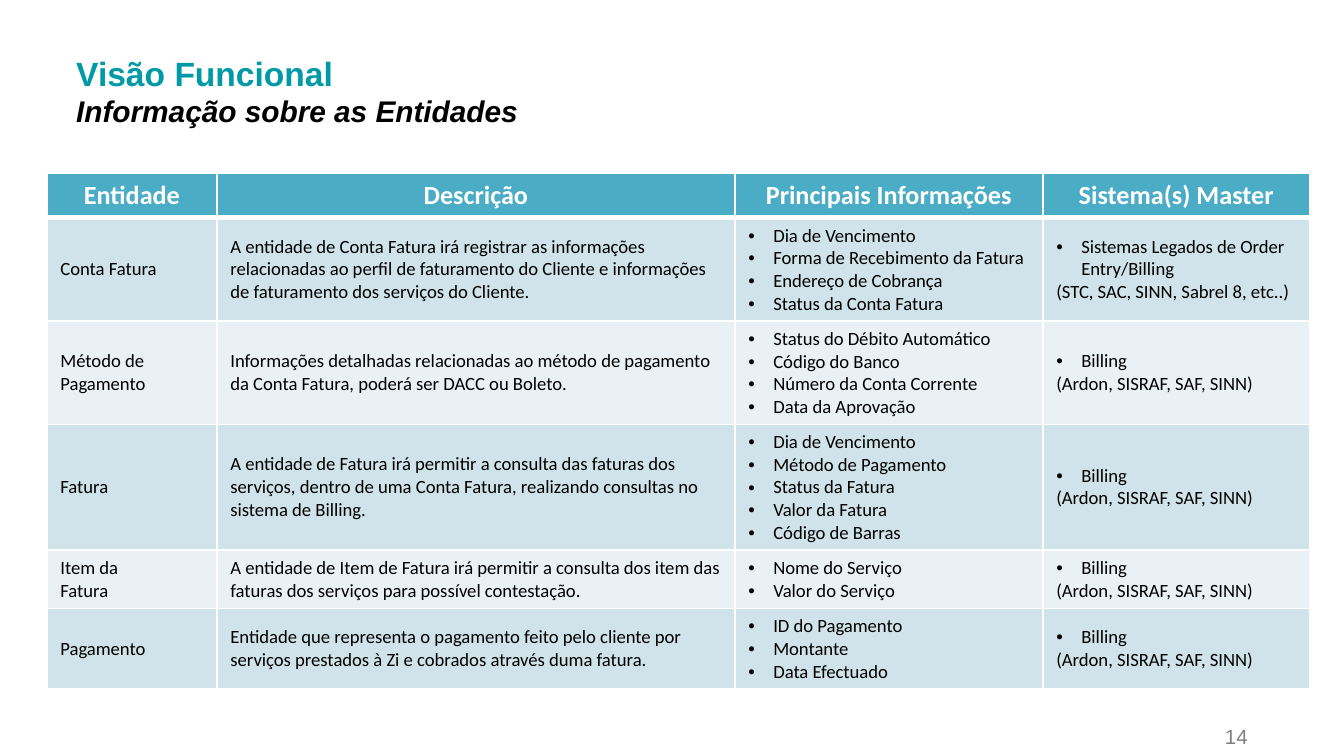
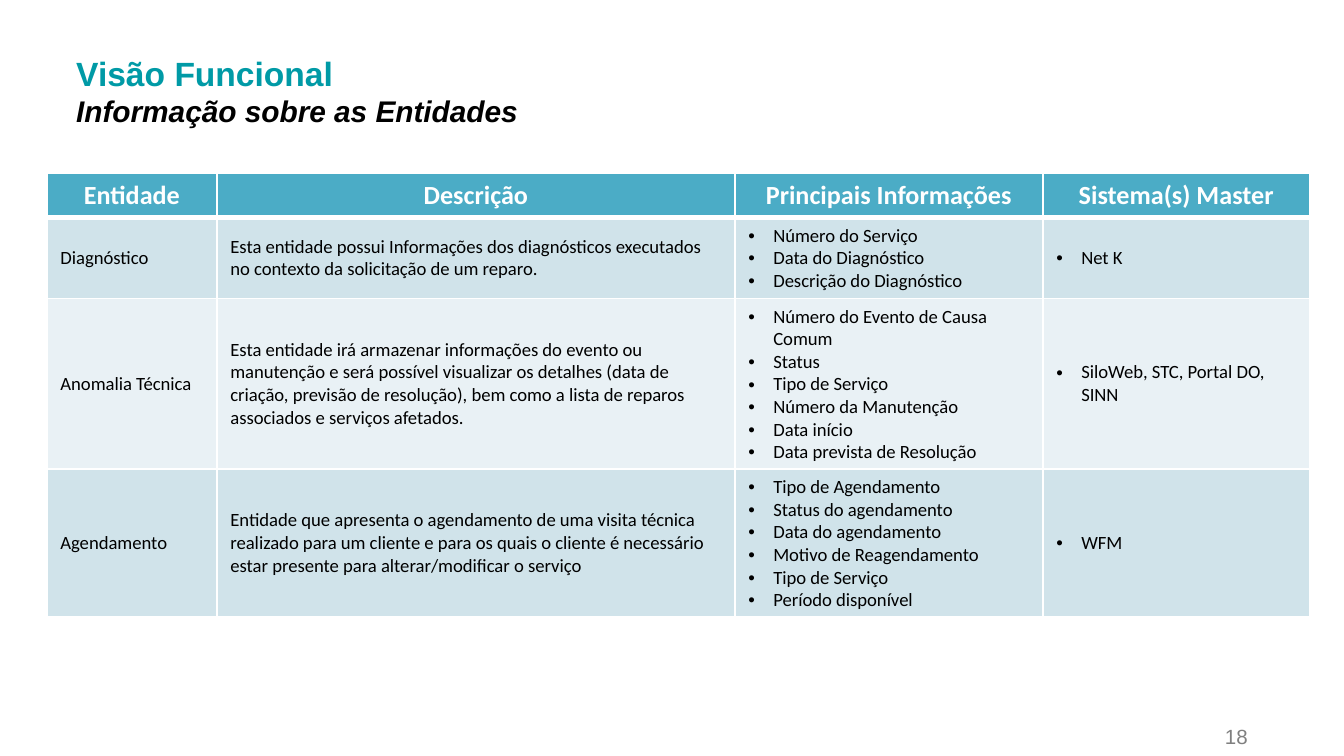
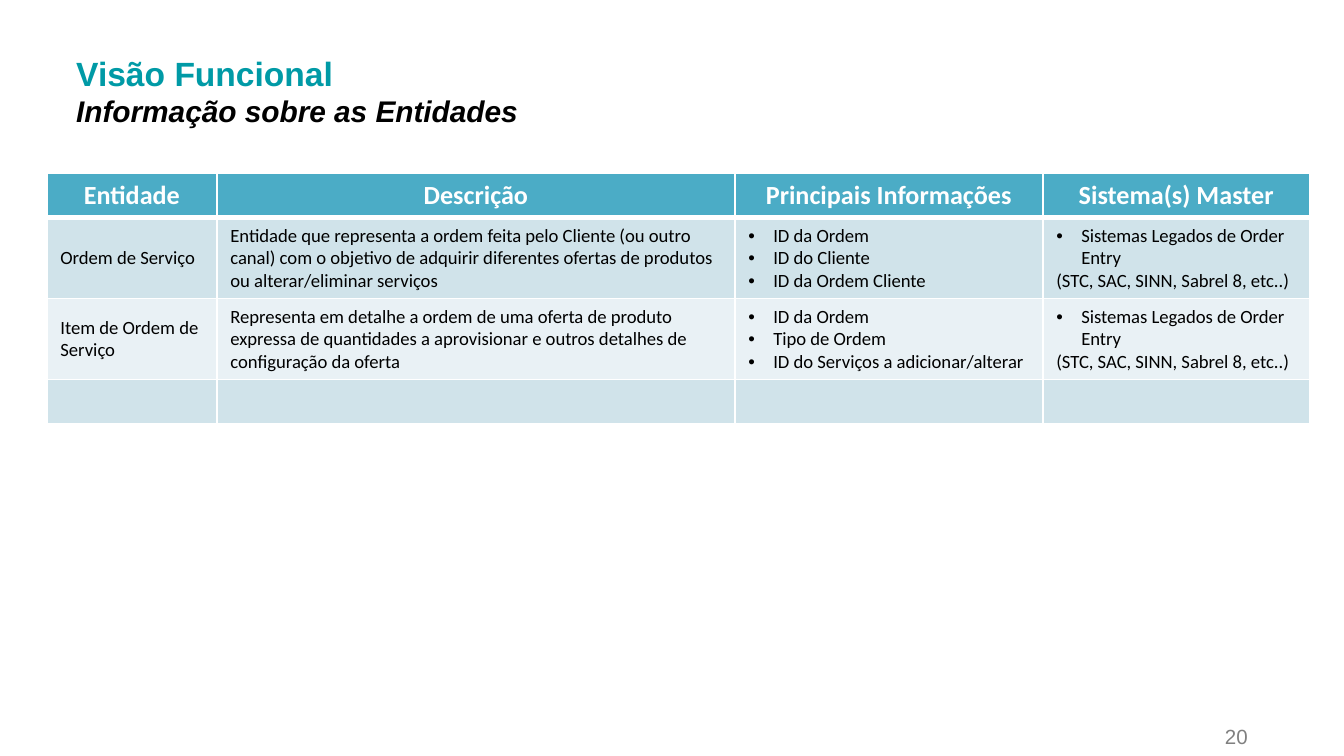
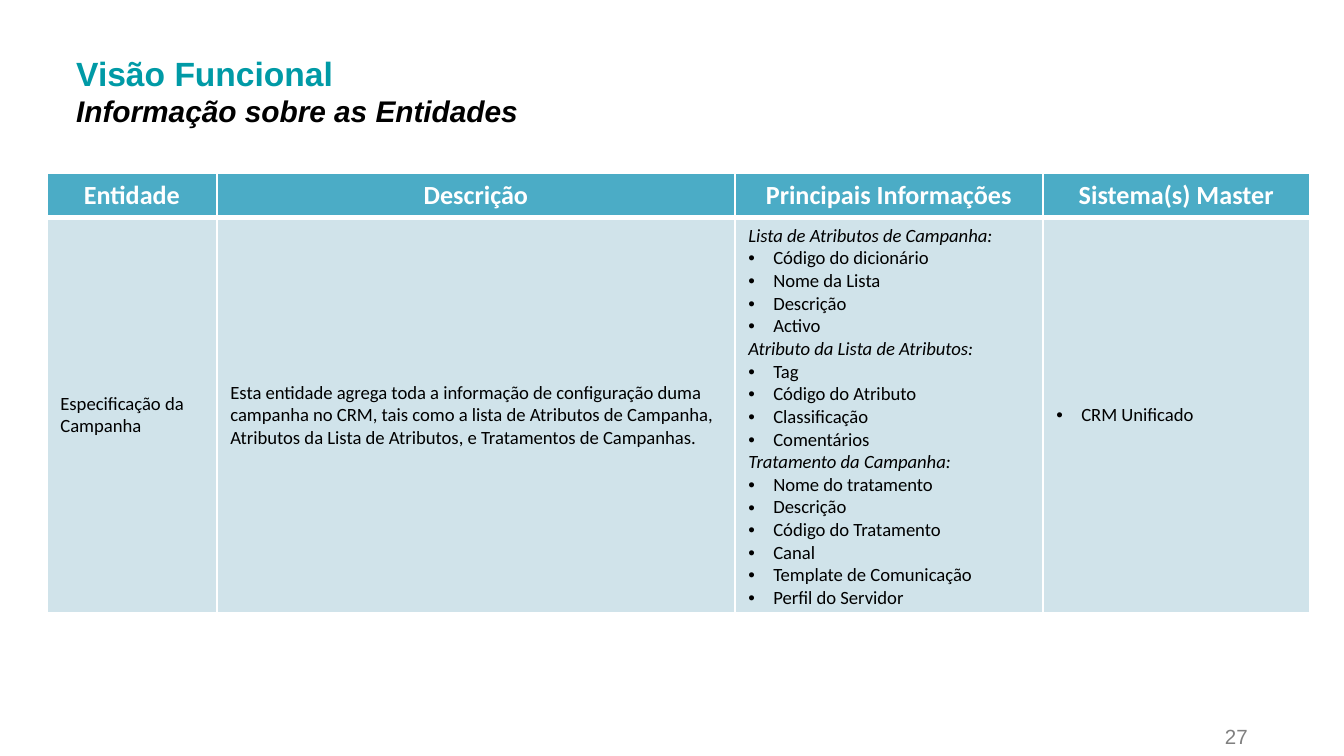
from dataclasses import dataclass

from lxml import etree
from pptx import Presentation
from pptx.dml.color import RGBColor
from pptx.enum.text import MSO_ANCHOR, MSO_AUTO_SIZE, PP_ALIGN
from pptx.oxml.ns import qn
from pptx.util import Emu, Pt

MIDDLE, BOTTOM = MSO_ANCHOR.MIDDLE, MSO_ANCHOR.BOTTOM
LEFT, CENTER, RIGHT = PP_ALIGN.LEFT, PP_ALIGN.CENTER, PP_ALIGN.RIGHT
GROW = MSO_AUTO_SIZE.SHAPE_TO_FIT_TEXT
PX_PER_INCH = 134.4


def px(length):
    return Emu(round(length * 914400 / PX_PER_INCH))


@dataclass(frozen=True)
class Theme:
    title_font: str = "Arial"
    table_font: str = "Calibri"
    teal: str = "009AA6"
    black: str = "000000"
    white: str = "FFFFFF"
    gray: str = "808080"
    header_fill: str = "4BACC6"
    row_fills: tuple = ("D0E3EA", "E9F1F5")
    title_size: int = 18
    subtitle_size: int = 16
    header_size: int = 14
    body_size: int = 10
    number_size: int = 11
    thin_line: int = 1
    thick_line: int = 3


# Wording shared by the slides
TITLE = "Visão Funcional"
SUBTITLE = "Informação sobre as Entidades"
HEADERS = ("Entidade", "Descrição", "Principais Informações", "Sistema(s) Master")
BILLING = ("Billing", "(Ardon, SISRAF, SAF, SINN)")
LEGACY_NOTE = "(STC, SAC, SINN, Sabrel 8, etc..)"
ORDER_ENTRY = ("Sistemas Legados de Order Entry", LEGACY_NOTE)

# Table geometry in px
COLUMN_WIDTHS = (170, 518, 308, 267)
HEADER_HEIGHT, ROW_HEIGHT, TALL_ROW_HEIGHT = 31, 26, 44
BULLET_INDENT = 25

# Each entity: names, description, main information, master systems
BILLING_ENTITIES = [
    (["Conta Fatura"],
     ["A entidade de Conta Fatura irá registrar as informações relacionadas ao perfil de "
      "faturamento do Cliente e informações de faturamento dos serviços do Cliente."],
     ["Dia de Vencimento", "Forma de Recebimento da Fatura", "Endereço de Cobrança",
      "Status da Conta Fatura"],
     ["Sistemas Legados de Order Entry/Billing", LEGACY_NOTE]),
    (["Método de Pagamento"],
     ["Informações detalhadas relacionadas ao método de pagamento da Conta Fatura, "
      "poderá ser DACC ou Boleto."],
     ["Status do Débito Automático", "Código do Banco", "Número da Conta Corrente",
      "Data da Aprovação"],
     BILLING),
    (["Fatura"],
     ["A entidade de Fatura irá permitir a consulta das faturas dos serviços, dentro de uma "
      "Conta Fatura, realizando consultas no sistema de Billing."],
     ["Dia de Vencimento", "Método de Pagamento", "Status da Fatura", "Valor da Fatura",
      "Código de Barras"],
     BILLING),
    (["Item da", "Fatura"],
     ["A entidade de Item de Fatura irá permitir a consulta dos item das faturas dos "
      "serviços para possível contestação."],
     ["Nome do Serviço", "Valor do Serviço"],
     BILLING),
    (["Pagamento"],
     ["Entidade que representa o pagamento feito pelo cliente por serviços prestados à Zi "
      "e cobrados através duma fatura."],
     ["ID do Pagamento", "Montante", "Data Efectuado"],
     BILLING),
]
REPAIR_ENTITIES = [
    (["Diagnóstico"],
     ["Esta entidade possui Informações dos diagnósticos executados no contexto da "
      "solicitação de um reparo."],
     ["Número do Serviço", "Data do Diagnóstico", "Descrição do Diagnóstico"],
     ["Net K"]),
    (["Anomalia Técnica"],
     ["Esta entidade irá armazenar informações do evento ou manutenção e será possível "
      "visualizar os detalhes (data de criação, previsão de resolução), bem como a lista "
      "de reparos associados e serviços afetados."],
     ["Número do Evento de Causa Comum", "Status", "Tipo de Serviço",
      "Número da Manutenção", "Data início", "Data prevista de Resolução"],
     ["SiloWeb, STC, Portal DO, SINN"]),
    (["Agendamento"],
     ["Entidade que apresenta o agendamento de uma visita técnica realizado para um cliente "
      "e para os quais o cliente é necessário estar presente para alterar/modificar o serviço"],
     ["Tipo de Agendamento", "Status do agendamento", "Data do agendamento",
      "Motivo de Reagendamento", "Tipo de Serviço", "Período disponível"],
     ["WFM"]),
]
ORDER_ENTITIES = [
    (["Ordem de Serviço"],
     ["Entidade que representa a ordem feita pelo Cliente (ou outro canal) com o objetivo de "
      "adquirir diferentes ofertas de produtos ou alterar/eliminar serviços"],
     ["ID da Ordem", "ID do Cliente", "ID da Ordem Cliente"],
     ORDER_ENTRY),
    (["Item de Ordem de Serviço"],
     ["Representa em detalhe a ordem de uma oferta de produto expressa de quantidades a "
      "aprovisionar e outros detalhes de configuração da oferta"],
     ["ID da Ordem", "Tipo de Ordem", "ID do Serviços a adicionar/alterar"],
     ORDER_ENTRY),
    ([], [], [], []),
]
CAMPAIGN_ENTITIES = [
    (["Especificação da Campanha"],
     ["Esta entidade agrega toda a informação de configuração duma campanha no CRM, tais "
      "como a lista de Atributos de Campanha, Atributos da Lista de Atributos, e "
      "Tratamentos de Campanhas."],
     ["Lista de Atributos de Campanha:", "Código do dicionário", "Nome da Lista",
      "Descrição", "Activo",
      "Atributo da Lista de Atributos:", "Tag", "Código do Atributo", "Classificação",
      "Comentários",
      "Tratamento da Campanha:", "Nome do tratamento", "Descrição", "Código do Tratamento",
      "Canal", "Template de Comunicação", "Perfil do Servidor"],
     ["CRM Unificado"]),
]

# Page number, entities, table height, positions of the taller rows
PAGES = [
    (14, BILLING_ENTITIES, 515, (4, 5)),
    (18, REPAIR_ENTITIES, 443, ()),
    (20, ORDER_ENTITIES, 251, (3,)),
    (27, CAMPAIGN_ENTITIES, 440, ()),
]


class EntityDeck:
    def __init__(self, theme):
        self.theme = theme
        self.deck = Presentation()
        self.deck.slide_width, self.deck.slide_height = px(1344), px(756)
        self.page = None

    def add_page(self):
        self.page = self.deck.slides.add_slide(self.deck.slide_layouts[6])

    def format_text(self, para, font, size, color, bold=False, italic=False, align=LEFT):
        para.alignment = align
        for span in para.runs:
            span.font.name, span.font.size = font, Pt(size)
            span.font.bold, span.font.italic = bold, italic
            span.font.color.rgb = RGBColor.from_string(color)

    def text_box(self, left, top, width, height, text):
        box = self.page.shapes.add_textbox(px(left), px(top), px(width), px(height))
        box.text_frame.word_wrap = True
        box.text_frame.text = text
        return box.text_frame

    def title(self):
        theme = self.theme
        frame = self.text_box(63, 46, 995, 90, f"{TITLE}\n{SUBTITLE}")
        frame.auto_size = GROW
        heading, subheading = frame.paragraphs
        self.format_text(heading, theme.title_font, theme.title_size, theme.teal, bold=True)
        self.format_text(subheading, theme.title_font, theme.subtitle_size, theme.black,
                         bold=True, italic=True)

    def page_number(self, number):
        theme = self.theme
        frame = self.text_box(1137, 716, 124, 39, str(number))
        frame.vertical_anchor = BOTTOM
        para = frame.paragraphs[0]
        para.line_spacing = 0.8
        self.format_text(para, theme.title_font, theme.number_size, theme.gray, align=RIGHT)

    def bullet(self, para):
        properties = para._p.get_or_add_pPr()
        properties.set("marL", str(px(BULLET_INDENT)))
        properties.set("indent", str(-px(BULLET_INDENT)))
        etree.SubElement(properties, qn("a:buFont"), typeface=self.theme.title_font)
        etree.SubElement(properties, qn("a:buChar"), char="•")

    def cell_style(self, cell, fill, top, bottom):
        thin = self.theme.thin_line
        properties = cell._tc.get_or_add_tcPr()
        # Borders come before the fill in the cell properties
        for side, width in (("L", thin), ("R", thin), ("T", top), ("B", bottom)):
            line = etree.SubElement(properties, qn(f"a:ln{side}"), w=str(Pt(width)))
            solid = etree.SubElement(line, qn("a:solidFill"))
            etree.SubElement(solid, qn("a:srgbClr"), val=self.theme.white)
        cell.fill.solid()
        cell.fill.fore_color.rgb = RGBColor.from_string(fill)
        cell.vertical_anchor = MIDDLE

    def header_cell(self, cell, text):
        theme = self.theme
        self.cell_style(cell, theme.header_fill, theme.thin_line, theme.thick_line)
        cell.text_frame.text = text
        self.format_text(cell.text_frame.paragraphs[0], theme.table_font, theme.header_size,
                         theme.white, bold=True, align=CENTER)

    def body_cell(self, cell, lines, row, bulleted):
        theme = self.theme
        top = theme.thick_line if row == 1 else theme.thin_line
        self.cell_style(cell, theme.row_fills[(row - 1) % 2], top, theme.thin_line)
        cell.text_frame.text = "\n".join(lines)
        for para in cell.text_frame.paragraphs:
            is_heading = bulleted and para.text.endswith(":")
            self.format_text(para, theme.table_font, theme.body_size, theme.black,
                             italic=is_heading)
            if not para.text:
                etree.SubElement(para._p, qn("a:endParaRPr"), sz=str(theme.body_size * 100))
            elif bulleted and not is_heading and not para.text.startswith("("):
                self.bullet(para)

    def entity_table(self, entities, height, tall_rows):
        frame = self.page.shapes.add_table(len(entities) + 1, len(HEADERS), px(47), px(173),
                                           px(sum(COLUMN_WIDTHS)), px(height))
        table = frame.table
        table.first_row = table.horz_banding = False
        for column, width in zip(table.columns, COLUMN_WIDTHS):
            column.width = px(width)
        for index, row in enumerate(table.rows):
            row.height = px(TALL_ROW_HEIGHT if index in tall_rows else ROW_HEIGHT)
        table.rows[0].height = px(HEADER_HEIGHT)
        frame.height = px(height)

        for column, text in enumerate(HEADERS):
            self.header_cell(table.cell(0, column), text)
        for row, entity in enumerate(entities, start=1):
            for column, lines in enumerate(entity):
                self.body_cell(table.cell(row, column), lines, row, bulleted=column >= 2)


def main():
    slides = EntityDeck(Theme())
    for number, entities, height, tall_rows in PAGES:
        slides.add_page()
        slides.page_number(number)
        slides.title()
        slides.entity_table(entities, height, tall_rows)
    slides.deck.save("out.pptx")


if __name__ == "__main__":
    main()
